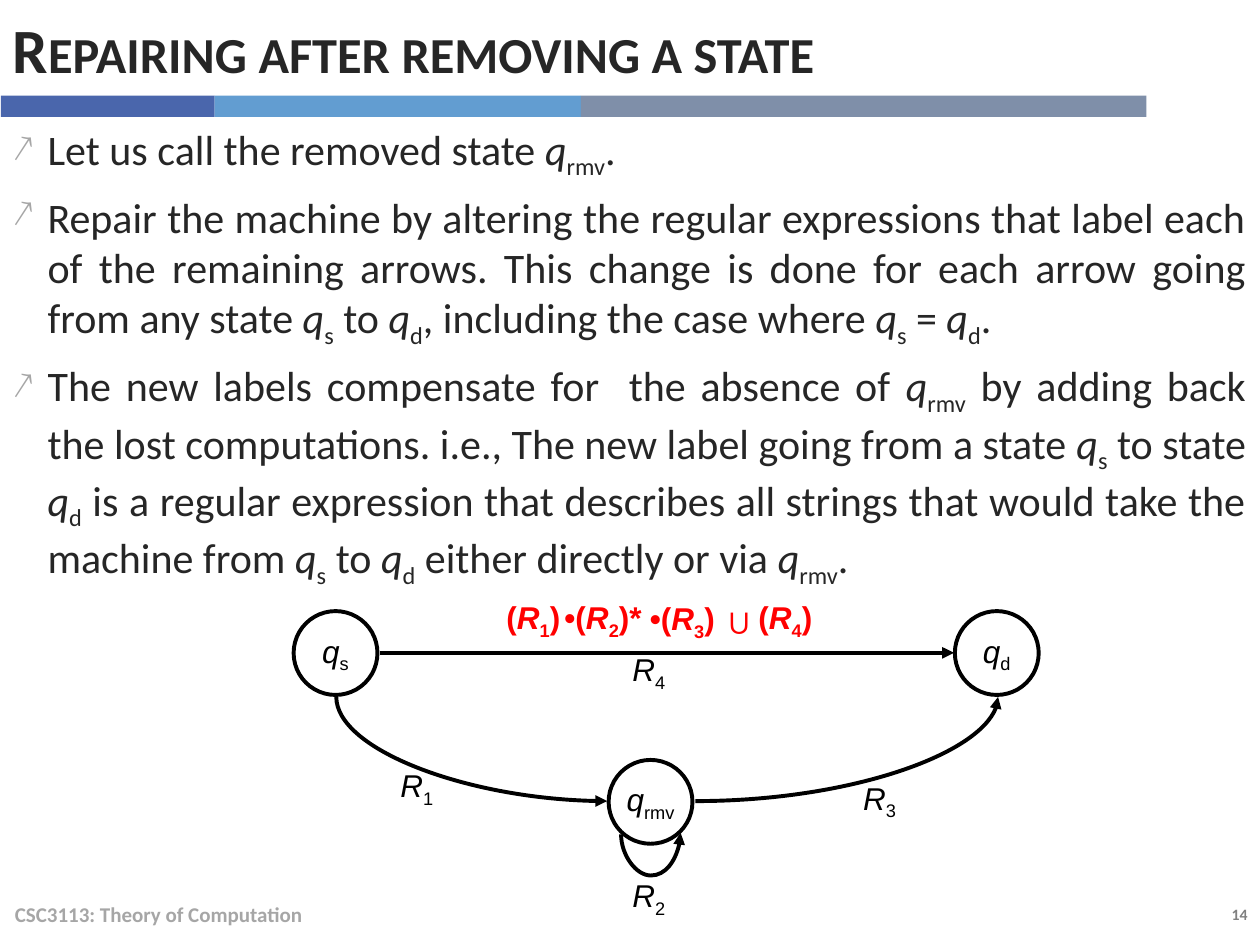
from typing import NamedTuple

from lxml import etree
from pptx import Presentation
from pptx import util as u
from pptx.dml.color import RGBColor
from pptx.enum import shapes, text
from pptx.oxml import ns

BLACK, RED, DARK, GREY = "000000", "FF0000", "262626", "A6A6A6"


class Bar(NamedTuple):
    left: float
    width: float
    color: str


class State(NamedTuple):
    left: float
    top: float
    markup: str


class Arrow(NamedTuple):
    start: tuple[float, float]
    end: tuple[float, float]
    arrow_end: str
    curve: str = ""
    bulge: float = 0


class Label(NamedTuple):
    left: float
    top: float
    width: float
    markup: str
    color: str = BLACK
    size: int = 18


def rgb(value: str) -> RGBColor:
    return RGBColor.from_string(value)


def child(parent, tag: str, **attributes: str):
    element = etree.SubElement(parent, ns.qn(tag))
    for name, value in attributes.items():
        element.set(name, value)
    return element


def write(para, markup: str, size: float, color: str, font="Calibri", bold=False) -> None:
    """Text between bars cycles through plain, italic and subscript."""
    for index, part in enumerate(markup.split("|")):
        if not part:
            continue
        span = para.add_run()
        span.text = part
        span.font.name, span.font.size, span.font.bold = font, u.Pt(size), bold
        span.font.color.rgb = rgb(color)
        span.font.italic = index % 3 == 1
        if index % 3 == 2:
            span.font._element.set("baseline", "-25000")


def add_box(left: float, top: float, width: float, height: float):
    box = page.shapes.add_textbox(u.Cm(left), u.Cm(top), u.Cm(width), u.Cm(height))
    box.text_frame.word_wrap = True
    return box.text_frame


def add_bullet(para) -> None:
    props = para._p.get_or_add_pPr()
    props.set("marL", str(u.Cm(0.71)))
    props.set("indent", str(-u.Cm(0.71)))
    child(child(props, "a:buClr"), "a:srgbClr", val=GREY)
    child(props, "a:buSzPct", val="90000")
    child(props, "a:buChar", char="↗")


def add_bar(bar: Bar) -> None:
    shape = page.shapes.add_shape(shapes.MSO_SHAPE.RECTANGLE, u.Cm(bar.left), u.Cm(1.93),
                                  u.Cm(bar.width), u.Cm(0.43))
    shape.shadow.inherit = False
    shape.fill.solid()
    shape.fill.fore_color.rgb = rgb(bar.color)
    shape.line.fill.background()


def add_state(state: State) -> None:
    shape = page.shapes.add_shape(shapes.MSO_SHAPE.OVAL, u.Cm(state.left), u.Cm(state.top),
                                  u.Cm(1.69), u.Cm(1.69))
    shape.shadow.inherit = False
    shape.fill.background()
    shape.line.color.rgb, shape.line.width = rgb(BLACK), u.Pt(2.25)
    frame = shape.text_frame
    frame.word_wrap = False
    frame.vertical_anchor = text.MSO_ANCHOR.MIDDLE
    frame.paragraphs[0].alignment = text.PP_ALIGN.CENTER
    write(frame.paragraphs[0], state.markup, 18, BLACK, "Arial")


def add_arrow(arrow: Arrow) -> None:
    (x1, y1), (x2, y2) = arrow.start, arrow.end
    kind = shapes.MSO_CONNECTOR.CURVE if arrow.curve else shapes.MSO_CONNECTOR.STRAIGHT
    line = page.shapes.add_connector(kind, u.Cm(x1), u.Cm(y1), u.Cm(x2), u.Cm(y2))
    line.line.color.rgb, line.line.width = rgb(BLACK), u.Pt(2.25)
    props = line._element.spPr
    child(props.find(ns.qn("a:ln")), f"a:{arrow.arrow_end}", type="triangle")
    child(props, "a:effectLst")
    if not arrow.curve:
        return
    # Curves leave downwards: a quarter turn swaps width and height
    width, height = y2 - y1, abs(x2 - x1)
    line.left, line.top = u.Cm((x1 + x2 - width) / 2), u.Cm((y1 + y2 - height) / 2)
    line.width, line.height = u.Cm(width), u.Cm(height)
    frame = props.find(ns.qn("a:xfrm"))
    frame.attrib.pop("flipH", None)
    if x2 > x1:
        frame.set("flipH", "1")
    frame.set("rot", str((270 if x2 > x1 else 90) * 60000))
    geometry = props.find(ns.qn("a:prstGeom"))
    geometry.set("prst", arrow.curve)
    if arrow.bulge:
        value = round(arrow.bulge / width * 100000)
        child(geometry.find(ns.qn("a:avLst")), "a:gd", name="adj1", fmla=f"val {value}")


def add_label(label: Label) -> None:
    frame = add_box(label.left, label.top, label.width, 1.02)
    write(frame.paragraphs[0], label.markup, label.size, label.color, "Arial",
          bold=label.color == RED)


deck = Presentation()
deck.slide_width, deck.slide_height = u.Cm(25.4), u.Cm(19.05)
page = deck.slides.add_slide(deck.slide_layouts[5])

# Title and coloured band
title = page.shapes.title
title.left, title.top, title.width, title.height = u.Cm(0), u.Cm(0), u.Cm(23.11), u.Cm(1.93)
title.text_frame.auto_size = text.MSO_AUTO_SIZE.NONE
title.text_frame.vertical_anchor = text.MSO_ANCHOR.MIDDLE
heading = title.text_frame.paragraphs[0]
heading.alignment = text.PP_ALIGN.LEFT
write(heading, "Repairing after removing a state", 36, DARK, bold=True)
heading.runs[0].font._element.set("cap", "small")

for bar in (Bar(0.02, 4.31, "4A66AC"), Bar(4.33, 7.38, "629DD1"), Bar(11.71, 11.4, "7F8FA9")):
    add_bar(bar)

# Body text
POINTS = (
    "Let us call the removed state |q|rmv|.",
    "Repair the machine by altering the regular expressions that label each of the "
    "remaining arrows. This change is done for each arrow going from any state "
    "|q|s| to |q|d|, including the case where |q|s| = |q|d|.",
    "The new labels compensate for  the absence of |q|rmv| by adding back the lost "
    "computations. i.e., The new label going from a state |q|s| to state |q|d| is a "
    "regular expression that describes all strings that would take the machine from "
    "|q|s| to |q|d| either directly or via |q|rmv|.",
)
body = add_box(0, 2.36, 25.37, 15.52)
for number, point in enumerate(POINTS):
    para = body.add_paragraph() if number else body.paragraphs[0]
    para.alignment = text.PP_ALIGN.JUSTIFY
    para.space_before = u.Pt(6)
    add_bullet(para)
    write(para, point, 24, DARK)

# State diagram
for state in (State(5.92, 12.32, "|q|s"), State(12.27, 15.32, "|q|rmv"),
              State(19.25, 12.32, "|q|d")):
    add_state(state)

for arrow in (
    Arrow((7.67, 13.16), (19.23, 13.16), "tailEnd"),
    Arrow((6.78, 14.05), (12.24, 16.15), "tailEnd", "curvedConnector2"),
    Arrow((20.12, 14.05), (14.02, 16.15), "headEnd", "curvedConnector2"),
    Arrow((13.72, 16.79), (12.52, 16.82), "headEnd", "curvedConnector3", 0.86),
):
    add_arrow(arrow)

for label in (
    Label(12.5, 12.98, 1.7, "|R|4"),
    Label(12.5, 17.53, 1.7, "|R|2"),
    Label(7.82, 15.32, 1.7, "|R|1"),
    Label(17.15, 15.57, 1.7, "|R|3"),
    Label(9.96, 11.94, 2.34, "(|R|1|)", RED),
    Label(11.13, 11.94, 2.54, "•(|R|2|)*", RED),
    Label(12.85, 11.96, 2.08, "•(|R|3|)", RED),
    Label(15.04, 11.94, 1.7, "(|R|4|)", RED),
    Label(14.4, 11.96, 1.07, "∪", RED, 20),
):
    add_label(label)

# Footer and page number
footer = add_box(0.05, 17.91, 17.02, 1.02)
footer.vertical_anchor = text.MSO_ANCHOR.MIDDLE
write(footer.paragraphs[0], "CSC3113: Theory of Computation", 12, GREY, bold=True)
page_number = add_box(22.17, 18.11, 3.23, 0.64)
page_number.paragraphs[0].alignment = text.PP_ALIGN.RIGHT
write(page_number.paragraphs[0], "14", 9, "808080", bold=True)

deck.save("out.pptx")
